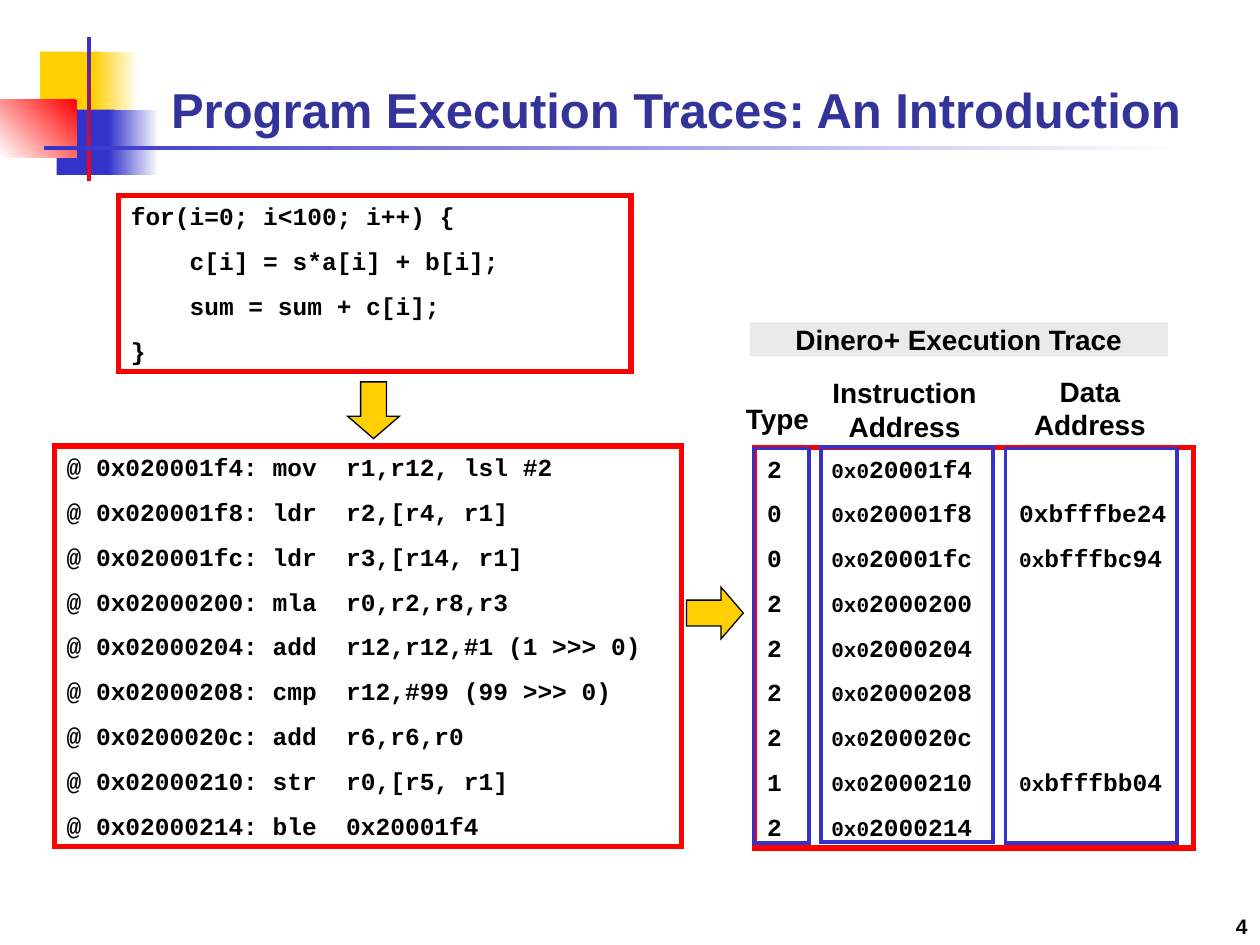
"""Build the slide on program execution traces."""
import pptx
import pptx.dml.color
import pptx.enum.shapes
import pptx.enum.text
import pptx.oxml.ns
import pptx.util
from lxml import etree

Pt = pptx.util.Pt
RGBColor = pptx.dml.color.RGBColor
SHAPE = pptx.enum.shapes.MSO_SHAPE
ALIGN = pptx.enum.text.PP_ALIGN
ANCHOR = pptx.enum.text.MSO_ANCHOR
qn = pptx.oxml.ns.qn

WHITE = RGBColor(0xFF, 0xFF, 0xFF)
BLACK = RGBColor(0, 0, 0)
GOLD = RGBColor(0xFF, 0xCF, 0x01)
BLUE = RGBColor(0x33, 0x33, 0xCC)
RED = RGBColor(0xFF, 0, 0)
NAVY = RGBColor(0x33, 0x33, 0x99)
GREY = RGBColor(0xEA, 0xEA, 0xEA)

DECORATION = [
    ((23, 29.5, 34.6, 37.4), [GOLD], 0),
    ((53.3, 29.5, 25.9, 37.4), [WHITE, GOLD], 180),
    ((32.4, 62.6, 33.1, 37.4), [BLUE], 0),
    ((61.9, 62.6, 28.8, 37.4), [WHITE, BLUE], 180),
    ((0, 56.9, 43.9, 33.1), [RED, WHITE], 225),
    ((49.7, 20.9, 2.5, 82.8), [BLUE, RED], 270),
    ((25.2, 83.5, 648, 2.3), [WHITE, BLUE], 180),
]
TITLE = "Program Execution Traces: An Introduction"
LOOP = [
    "for(i=0; i<100; i++) {",
    "    c[i] = s*a[i] + b[i];",
    "    sum = sum + c[i];",
    "}",
]
ASSEMBLY = [
    "@ 0x020001f4: mov  r1,r12, lsl #2",
    "@ 0x020001f8: ldr  r2,[r4, r1]",
    "@ 0x020001fc: ldr  r3,[r14, r1]",
    "@ 0x02000200: mla  r0,r2,r8,r3",
    "@ 0x02000204: add  r12,r12,#1 (1 >>> 0)",
    "@ 0x02000208: cmp  r12,#99 (99 >>> 0)",
    "@ 0x0200020c: add  r6,r6,r0",
    "@ 0x02000210: str  r0,[r5, r1]",
    "@ 0x02000214: ble  0x20001f4",
]
TRACE = [
    ("2", "20001f4", []),
    ("0", "20001f8", [("0xbfffbe24", 14)]),
    ("0", "20001fc", [("0x", 12), ("bfffbc94", 14)]),
    ("2", "2000200", []),
    ("2", "2000204", []),
    ("2", "2000208", []),
    ("2", "200020c", []),
    ("1", "2000210", [("0x", 12), ("bfffbb04", 14)]),
    ("2", "2000214", []),
]
TRACE_TABS = (36.7, 144)
CODE_GAP = 8.8
COLUMN_FRAMES = [
    (430.6, 256.3, 31.7, 225.4),
    (469.4, 255.6, 97.9, 225.4),
    (574.6, 256.3, 97.9, 225.4),
]
ARROWS = [((198.7, 218.2, 29.5, 32.4), 0), ((393.8, 334.1, 29.5, 32.4), 270)]
HEADINGS = [
    ((469.4, 214.6, 95, 38.2), ["Instruction", "Address"], None),
    ((574.6, 213.8, 96.5, 38.2), ["Data", "Address"], None),
    ((421.2, 229.7, 46.1, 19.4), ["Type"], None),
    ((428.4, 184.3, 239, 19.4), ["Dinero+ Execution Trace"], GREY),
]


def add_box(slide, frame, fill=None, line=None, weight=1, kind=SHAPE.RECTANGLE):
    box = slide.shapes.add_shape(kind, *map(Pt, frame))
    box.shadow.inherit = False
    if fill is None:
        box.fill.background()
    else:
        box.fill.solid()
        box.fill.fore_color.rgb = fill
    if line is None:
        box.line.fill.background()
    else:
        box.line.color.rgb = line
        box.line.width = Pt(weight)
        outline = box._element.spPr.find(qn("a:ln"))
        etree.SubElement(outline, qn("a:miter"), lim="800000")
    return box


def set_frame(box, margins=(7.2, 3.6), anchor=ANCHOR.TOP):
    words = box.text_frame
    words.word_wrap = True
    words.vertical_anchor = anchor
    words.margin_left = words.margin_right = Pt(margins[0])
    words.margin_top = words.margin_bottom = Pt(margins[1])
    return words


def add_run(paragraph, text, size, font="Arial", color=BLACK):
    run = paragraph.add_run()
    run.text = text
    run.font.name = font
    run.font.size = Pt(size)
    run.font.bold = True
    run.font.color.rgb = color


def add_label(slide, frame, text, size, color, align):
    label = slide.shapes.add_textbox(*map(Pt, frame))
    paragraph = set_frame(label, anchor=ANCHOR.BOTTOM).paragraphs[0]
    paragraph.alignment = align
    add_run(paragraph, text, size, color=color)


def add_code(slide, frame, lines, tabs=()):
    words = set_frame(add_box(slide, frame, line=RED, weight=3))
    for index, runs in enumerate(lines):
        paragraph = words.add_paragraph() if index else words.paragraphs[0]
        paragraph.alignment = ALIGN.LEFT
        if index:
            paragraph.space_before = Pt(CODE_GAP)
        if tabs:
            stops = etree.SubElement(paragraph._p.get_or_add_pPr(), qn("a:tabLst"))
            for tab in tabs:
                etree.SubElement(stops, qn("a:tab"), pos=str(int(Pt(tab))), algn="l")
        for text, size in runs:
            add_run(paragraph, text, size, "Courier New")


def trace_runs(kind, instruction, data):
    ending = "\t" if data else ""
    return [(kind + "\t", 14), ("0x0", 12), (instruction + ending, 14)] + data


def main():
    deck = pptx.Presentation()
    deck.slide_width, deck.slide_height = Pt(720), Pt(540)
    slide = deck.slides.add_slide(deck.slide_layouts[6])

    for frame, colors, angle in DECORATION:
        block = add_box(slide, frame, fill=colors[0])
        if len(colors) > 1:
            block.fill.gradient()
            block.fill.gradient_angle = angle
            for stop, color, position in zip(block.fill.gradient_stops, colors, (0, 1)):
                stop.color.rgb = color
                stop.position = position

    add_label(slide, (90.7, 12.2, 613.4, 70.6), TITLE, 28, NAVY, ALIGN.LEFT)
    add_code(slide, (67.7, 111.6, 293, 100.8), [[(text, 14)] for text in LOOP])
    add_code(slide, (431.3, 255.6, 250.6, 229),
             [trace_runs(*row) for row in TRACE], TRACE_TABS)
    add_code(slide, (31, 254.9, 358.6, 229), [[(text, 14)] for text in ASSEMBLY])

    for frame in COLUMN_FRAMES:
        add_box(slide, frame, line=BLUE, weight=2.25)

    for frame, rotation in ARROWS:
        arrow = add_box(slide, frame, GOLD, BLACK, 0.75, SHAPE.DOWN_ARROW)
        arrow.adjustments[0], arrow.adjustments[1] = 0.5, 0.43
        arrow.rotation = rotation

    for frame, lines, fill in HEADINGS:
        heading = add_box(slide, frame, fill=fill)
        paragraph = set_frame(heading, (0, 0)).paragraphs[0]
        paragraph.alignment = ALIGN.CENTER
        for index, text in enumerate(lines):
            if index:
                paragraph.add_line_break()
            add_run(paragraph, text, 16)

    add_label(slide, (570.2, 504, 149.8, 36), "4", 12, BLACK, ALIGN.RIGHT)
    deck.save("out.pptx")


if __name__ == "__main__":
    main()
